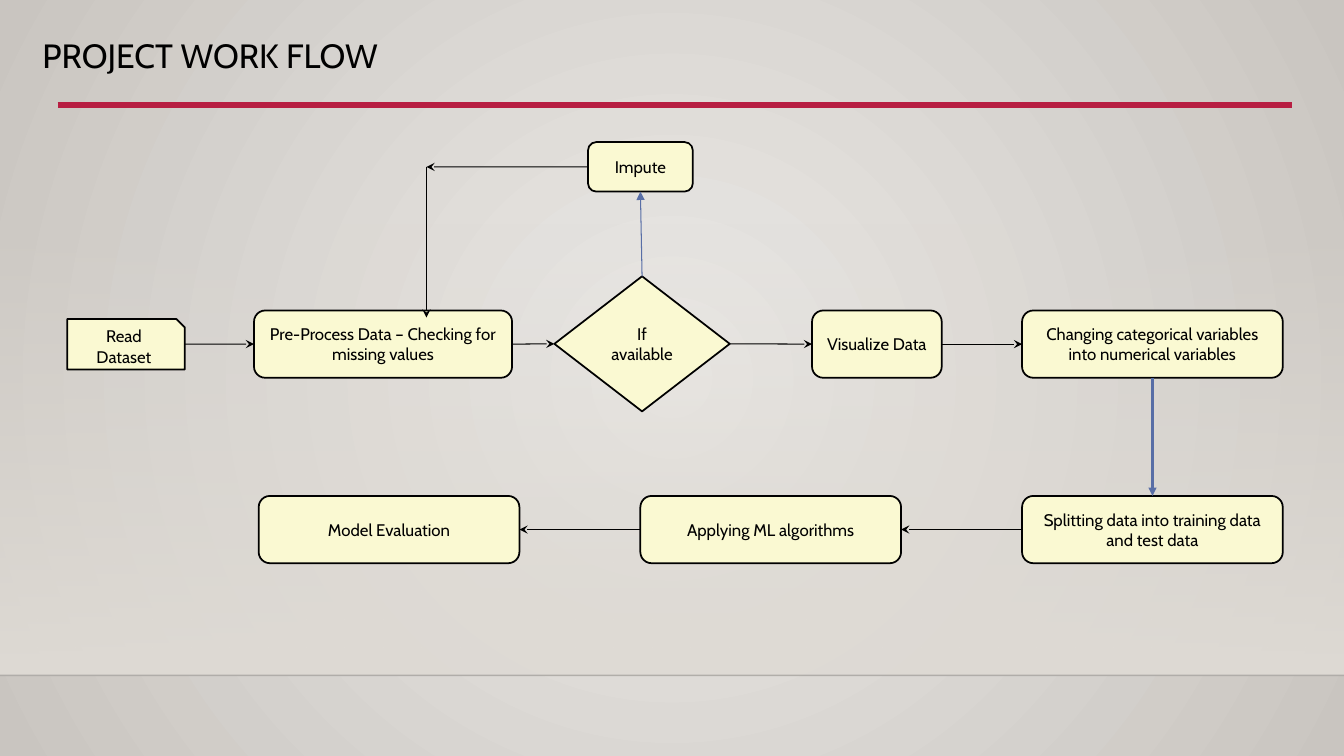
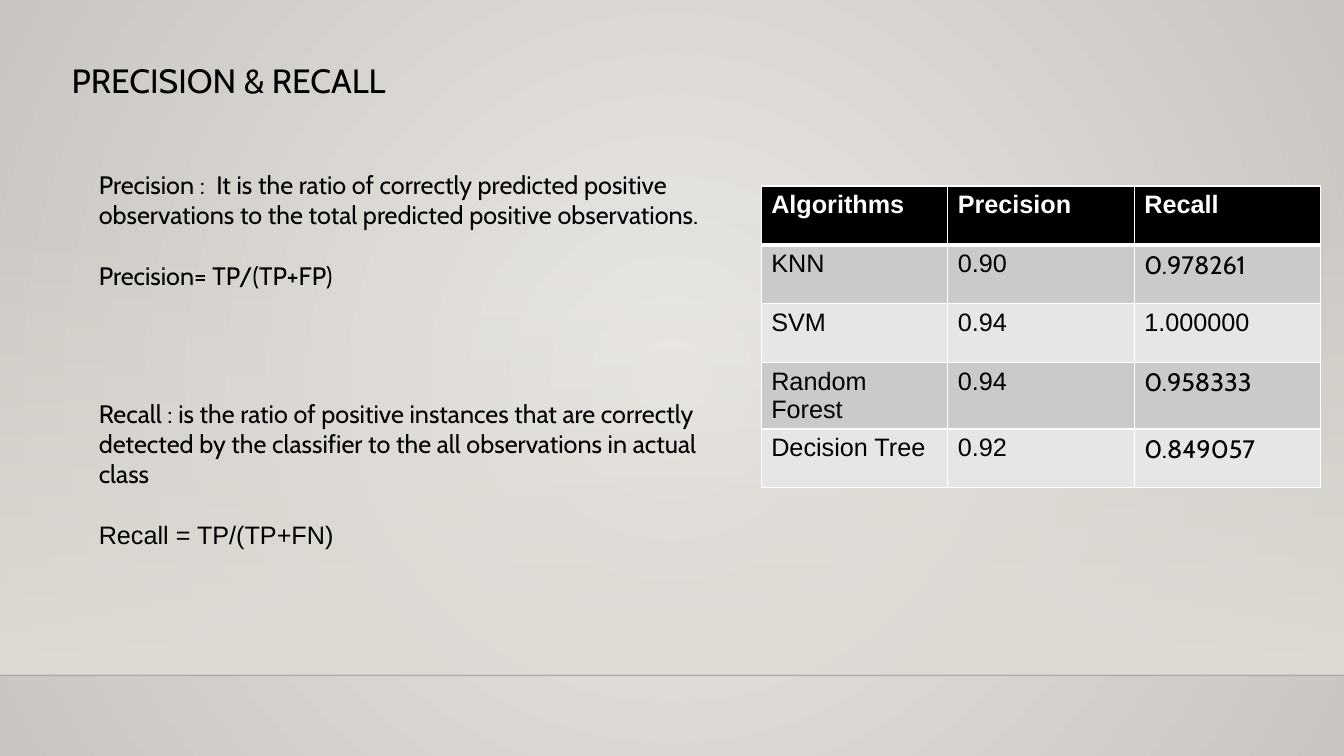
import lxml.etree
import pptx
import pptx.dml.color
import pptx.enum.shapes
import pptx.enum.text
import pptx.oxml.ns
import pptx.util

WIDTH = pptx.util.Inches(13.33)
HEIGHT = pptx.util.Inches(7.5)
COLORS = {
    "ink": "000000",
    "white": "FFFFFF",
    "center": "EBE9E6",
    "edge": "C9C5C0",
    "floor": "DFDBD5",
    "horizon": "000001",
    "step": "FAF9D2",
    "accent": "B71E42",
    "blue": "586EA6",
    "dark_row": "CACACA",
    "light_row": "E6E6E6",
}
FONT = "Cabin"
PLAIN_FONT = "Arial"
TOP, LEFT, BOTTOM, RIGHT = range(4)
SHAPES = pptx.enum.shapes.MSO_SHAPE
ALIGN = pptx.enum.text.PP_ALIGN
ANCHOR = pptx.enum.text.MSO_ANCHOR


def across(percent):
    return round(WIDTH * percent / 100)


def down(percent):
    return round(HEIGHT * percent / 100)


def frame(left, top, width, height):
    return across(left), down(top), across(width), down(height)


def color(name):
    return pptx.dml.color.RGBColor.from_string(COLORS[name])


def add_node(parent, tag, **attributes):
    return lxml.etree.SubElement(parent, pptx.oxml.ns.qn(tag), attributes)


def find_node(parent, tag):
    return parent.find(".//" + pptx.oxml.ns.qn(tag))


def fill_gradient(owner, fill, stops):
    fill.gradient()
    gradient = find_node(owner.element, "a:gradFill")
    for child in list(gradient):
        gradient.remove(child)
    stop_list = add_node(gradient, "a:gsLst")
    for position, name, opacity in stops:
        stop = add_node(stop_list, "a:gs", pos=str(position * 1000))
        shade = add_node(stop, "a:srgbClr", val=COLORS[name])
        if opacity < 100:
            add_node(shade, "a:alpha", val=str(opacity * 1000))
    return gradient


def style_text(para, size, name="ink", font=FONT, bold=False):
    para.font.size = pptx.util.Pt(size)
    para.font.name = font
    para.font.bold = bold
    para.font.color.rgb = color(name)


def add_line(page, start, end, name="ink", weight=0.75, head=None):
    line = page.shapes.add_connector(
        pptx.enum.shapes.MSO_CONNECTOR.STRAIGHT,
        across(start[0]), down(start[1]), across(end[0]), down(end[1]))
    line.line.color.rgb = color(name)
    line.line.width = pptx.util.Pt(weight)
    if head:
        add_node(find_node(line.element, "a:ln"), "a:tailEnd", type=head)
    add_node(find_node(line.element, "p:spPr"), "a:effectLst")
    return line


def link(page, source, source_side, target, target_side, **style):
    style.setdefault("head", "stealth")
    line = add_line(page, (0, 0), (0, 0), **style)
    line.begin_connect(source, source_side)
    line.end_connect(target, target_side)


def add_step(page, text, place, kind=SHAPES.ROUNDED_RECTANGLE):
    box = page.shapes.add_shape(kind, *frame(*place))
    box.shadow.inherit = False
    box.fill.solid()
    box.fill.fore_color.rgb = color("step")
    box.line.color.rgb = color("ink")
    box.line.width = pptx.util.Pt(1.25)
    box.text_frame.word_wrap = True
    box.text_frame.vertical_anchor = ANCHOR.MIDDLE
    para = box.text_frame.paragraphs[0]
    para.text = text
    para.alignment = ALIGN.CENTER
    style_text(para, 12)
    return box


def place_box(box, place):
    box.left, box.top, box.width, box.height = frame(*place)
    box.text_frame.word_wrap = True
    box.text_frame.auto_size = pptx.enum.text.MSO_AUTO_SIZE.NONE
    box.text_frame.vertical_anchor = ANCHOR.TOP


def set_title(page, text, place, spacing=1.0):
    title = page.shapes.title
    place_box(title, place)
    para = title.text_frame.paragraphs[0]
    para.text = text
    para.alignment = ALIGN.LEFT
    para.line_spacing = spacing
    style_text(para, 24)


def set_body(box, place, lines):
    place_box(box, place)
    box.text_frame.text = "\n".join(text for text, font in lines)
    for index, (para, (text, font)) in enumerate(zip(box.text_frame.paragraphs, lines)):
        properties = para._p.get_or_add_pPr()
        properties.set("marL", "0")
        properties.set("indent", "0")
        add_node(properties, "a:buNone")
        para.alignment = ALIGN.LEFT
        para.space_before = pptx.util.Pt(21.6 if index else 0)
        style_text(para, 18, font=font)


def set_borders(cell, bottom):
    properties = cell._tc.get_or_add_tcPr()
    weights = {"a:lnL": 1, "a:lnR": 1, "a:lnT": 1, "a:lnB": bottom}
    for tag, weight in weights.items():
        border = add_node(properties, tag, w=str(pptx.util.Pt(weight)))
        fill = add_node(border, "a:solidFill")
        add_node(fill, "a:srgbClr", val=COLORS["white"])


def add_score_table(page, rows, left, top, column, row_height):
    place = frame(left, top, column * len(rows[0]), row_height * len(rows))
    table = page.shapes.add_table(len(rows), len(rows[0]), *place).table
    table.horz_banding = False
    for row, values in enumerate(rows):
        header = row == 0
        fill = "ink" if header else "dark_row" if row % 2 else "light_row"
        for position, value in enumerate(values):
            cell = table.cell(row, position)
            set_borders(cell, 3 if header else 1)
            cell.fill.solid()
            cell.fill.fore_color.rgb = color(fill)
            para = cell.text_frame.paragraphs[0]
            para.text = value
            fractional = position == 2 and value.startswith("0.")
            style_text(para, 18, "white" if header else "ink",
                       FONT if fractional else PLAIN_FONT, header)


def build_backdrop(deck, page):
    master = deck.slide_master
    glow = fill_gradient(master, master.background.fill,
                         [(0, "center", 100), (100, "edge", 100)])
    circle = add_node(glow, "a:path", path="circle")
    add_node(circle, "a:fillToRect", l="50000", t="50000", r="50000", b="50000")

    floor = page.shapes.add_shape(SHAPES.RECTANGLE, *frame(0, 29.5, 100, 59.83))
    floor.shadow.inherit = False
    floor.line.fill.background()
    fade = fill_gradient(floor, floor.fill, [(0, "floor", 0), (100, "floor", 100)])
    add_node(fade, "a:lin", ang="5400000", scaled="0")

    horizon = add_line(page, (0, 89.33), (100, 89.33), "horizon", 1)
    add_node(find_node(horizon.element, "a:srgbClr"), "a:alpha", val="20000")
    for index, shape in enumerate((floor, horizon)):
        master.shapes.element.insert(2 + index, shape.element)


def build_workflow(page):
    set_title(page, "PROJECT WORK FLOW", (2.4, 4.55, 33.75, 6.15), 0.9)
    add_line(page, (4.28, 13.87), (96.1, 13.87), "accent", 4.5)

    row, height, wide = 41.07, 8.9, 19.4
    read = add_step(page, "Read Dataset", (5, 42.2, 8.75, 6.67),
                    SHAPES.SNIP_1_RECTANGLE)
    check = add_step(page, "Pre-Process Data – Checking for missing values",
                     (18.9, row, 19.2, height))
    decision = add_step(page, "If available", (41.25, 36.55, 13.05, 17.87),
                        SHAPES.DIAMOND)
    impute = add_step(page, "Impute", (43.75, 18.8, 7.8, 6.55))
    visualize = add_step(page, "Visualize Data", (60.42, row, 9.65, height))
    encode = add_step(page, "Changing categorical variables into numerical variables",
                      (76.05, row, wide, height))
    split, apply, evaluate = [
        add_step(page, text, (76.05 - 28.4 * index, 65.6, wide, height))
        for index, text in enumerate((
            "Splitting data into training data and test data",
            "Applying ML algorithms",
            "Model Evaluation"))]

    forward = (read, check, decision, visualize, encode)
    for source, target in zip(forward, forward[1:]):
        link(page, source, RIGHT, target, LEFT)
    for source, target in ((split, apply), (apply, evaluate)):
        link(page, source, LEFT, target, RIGHT)
    link(page, decision, TOP, impute, BOTTOM, name="blue", head="triangle")
    link(page, encode, BOTTOM, split, TOP, name="blue", weight=1.75, head="triangle")

    corner = (31.73, 22.08)
    feedback = add_line(page, (43.75, 22.08), corner, head="stealth")
    feedback.begin_connect(impute, LEFT)
    add_line(page, corner, (31.73, 42), head="stealth")


def build_scores(page):
    set_title(page, "PRECISION & RECALL", (4.58, 7.2, 50.1, 6.67))
    precision, recall = list(page.placeholders)[1:]
    set_body(precision, (6.6, 21.73, 50.1, 17.47), [
        ("Precision :  It is the ratio of correctly predicted positive observations "
         "to the total predicted positive observations.", FONT),
        ("Precision= TP/(TP+FP)", FONT)])
    set_body(recall, (6.6, 52, 50.1, 21.5), [
        ("Recall : is the ratio of positive instances that are correctly detected "
         "by the classifier to the all observations in actual class", FONT),
        ("Recall = TP/(TP+FN)", PLAIN_FONT)])
    add_score_table(page, [
        ("Algorithms", "Precision", "Recall"),
        ("KNN", "0.90", "0.978261"),
        ("SVM", "0.94", "1.000000"),
        ("Random Forest", "0.94", "0.958333"),
        ("Decision Tree", "0.92", "0.849057"),
    ], 56.64, 24.6, 13.88, 7.78)


def main():
    deck = pptx.Presentation()
    deck.slide_width, deck.slide_height = WIDTH, HEIGHT
    title_only, two_content = deck.slide_layouts[5], deck.slide_layouts[3]
    workflow = deck.slides.add_slide(title_only)
    build_backdrop(deck, workflow)
    build_workflow(workflow)
    build_scores(deck.slides.add_slide(two_content))
    deck.save("out.pptx")


if __name__ == "__main__":
    main()
